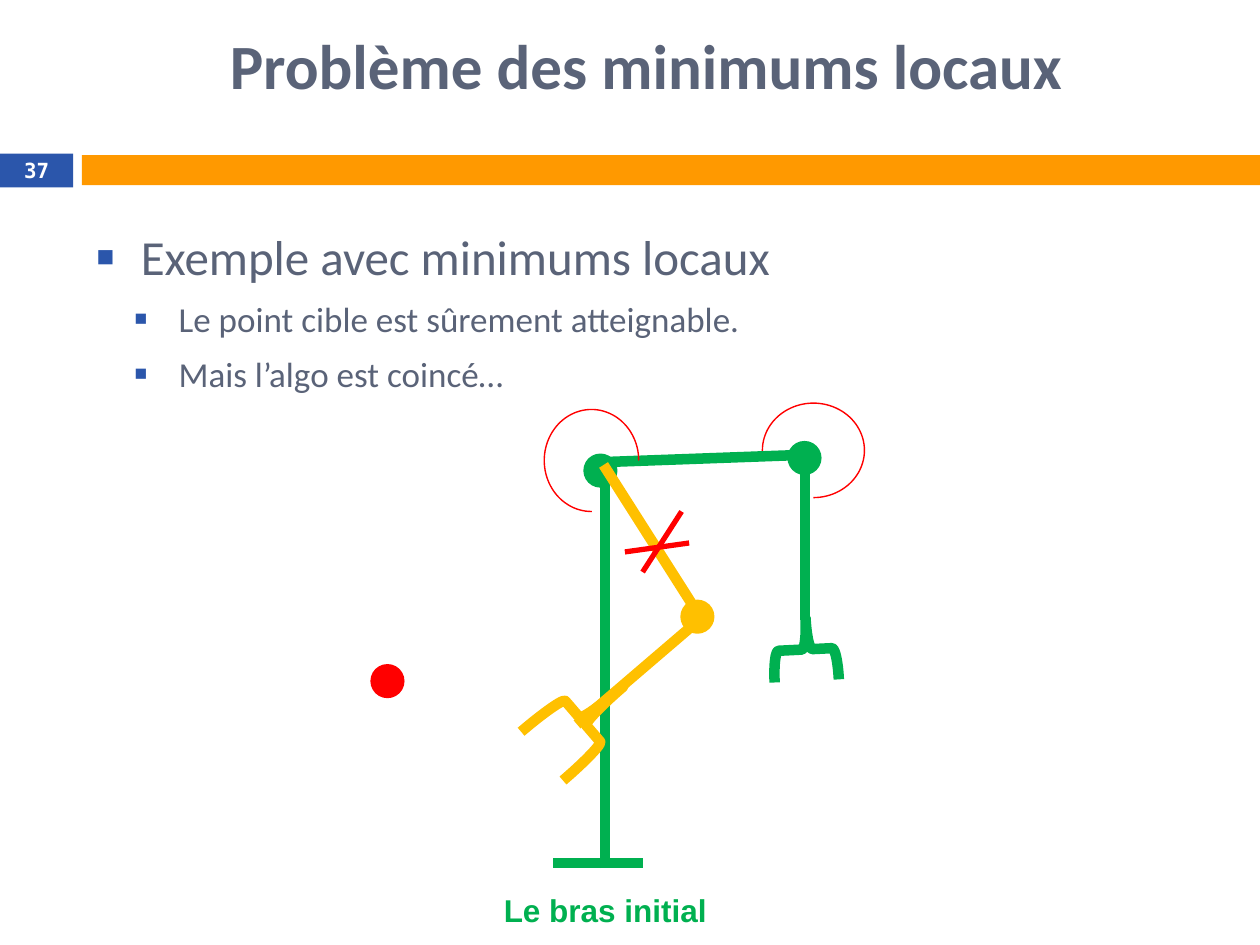
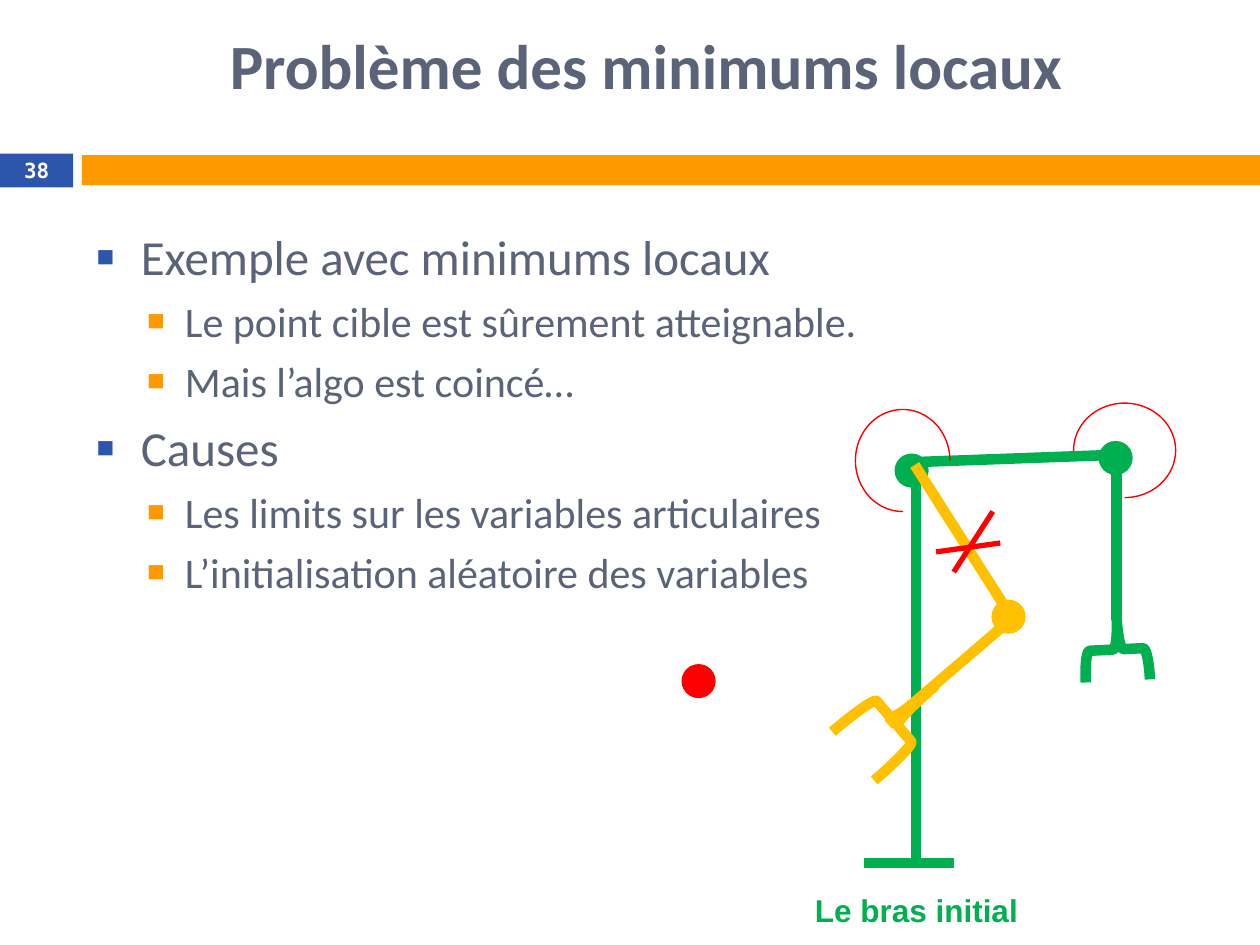
"""Build two slides on local minimums of a robot arm."""
from dataclasses import dataclass

from lxml import etree
from pptx import Presentation
from pptx.dml.color import RGBColor
from pptx.enum.shapes import MSO_CONNECTOR, MSO_SHAPE
from pptx.enum.text import MSO_ANCHOR, PP_ALIGN
from pptx.oxml.ns import qn
from pptx.util import Pt

RECT = MSO_SHAPE.RECTANGLE
DISC = MSO_SHAPE.FLOWCHART_CONNECTOR
BRACE = MSO_SHAPE.LEFT_BRACE
ARC = MSO_SHAPE.ARC
LINE = MSO_CONNECTOR.STRAIGHT
CENTER = PP_ALIGN.CENTER
MIDDLE = MSO_ANCHOR.MIDDLE


@dataclass(frozen=True)
class Theme:
    """Colours, fonts and sizes of the deck."""
    ink: str = "5A6378"
    blue: str = "2B56AB"
    orange: str = "FF9900"
    white: str = "FFFFFF"
    green: str = "00B050"
    gold: str = "FFC000"
    red: str = "FF0000"
    font: str = "Calibri"
    mono: str = "DejaVu Sans Mono"
    sans: str = "Arial"
    title: float = 36
    label: float = 18
    number: float = 11.9
    limb: float = 6
    cross: float = 3
    rim: float = 1.5
    sweep: float = 0.79


@dataclass(frozen=True)
class Level:
    """Look of one bullet level."""
    size: float
    left: float
    hang: float
    before: float
    color: str
    scale: int


THEME = Theme()
HEAD = Level(28, 25.2, 25.2, 7, THEME.blue, 60)
SUB = Level(24, 50.4, 21.6, 5.5, THEME.orange, 70)
SMALL = Level(20, 46.8, 25.2, 7, THEME.blue, 60)


def rgb(color):
    """Turn a hex string into a colour."""
    return RGBColor.from_string(color)


def add_run(para, text, size, color, font=THEME.font, bold=False):
    """Add one styled run."""
    run = para.add_run()
    run.text = text
    run.font.size = Pt(size)
    run.font.name = font
    run.font.bold = bold
    run.font.color.rgb = rgb(color)


def add_text(slide, box):
    """Add an empty text box that wraps and return its frame."""
    frame = slide.shapes.add_textbox(*map(Pt, box)).text_frame
    frame.word_wrap = True
    return frame


def add_shape(slide, kind, box, fill=None, line=None, width=THEME.rim,
              turn=0, adjust=()):
    """Add a preset shape with a plain fill and line."""
    shape = slide.shapes.add_shape(kind, *map(Pt, box))
    shape.shadow.inherit = False
    shape.rotation = turn
    for i, value in enumerate(adjust):
        shape.adjustments[i] = value
    if fill:
        shape.fill.solid()
        shape.fill.fore_color.rgb = rgb(fill)
    else:
        shape.fill.background()
    if line:
        shape.line.color.rgb = rgb(line)
        shape.line.width = Pt(width)
    else:
        shape.line.fill.background()
    return shape


def add_line(slide, ends, color, width=THEME.limb):
    """Add a straight line without shadow."""
    line = slide.shapes.add_connector(LINE, *map(Pt, ends))
    line.line.color.rgb = rgb(color)
    line.line.width = Pt(width)
    props = line._element.find(qn("p:spPr"))
    etree.SubElement(props, qn("a:effectLst"))


def add_joint(slide, left, top, color):
    """Add a round joint or target."""
    add_shape(slide, DISC, (left, top, 18, 18), color, color)


def set_bullet(para, level):
    """Give a paragraph a square bullet and hanging indent."""
    props = para._p.get_or_add_pPr()
    props.set("marL", str(Pt(level.left)))
    props.set("indent", str(-Pt(level.hang)))
    tint = etree.SubElement(props, qn("a:buClr"))
    etree.SubElement(tint, qn("a:srgbClr"), val=level.color)
    etree.SubElement(props, qn("a:buSzPct"), val=str(level.scale * 1000))
    etree.SubElement(props, qn("a:buFont"), typeface=THEME.sans)
    etree.SubElement(props, qn("a:buChar"), char="■")


def add_list(slide, items):
    """Add the bulleted body text."""
    frame = add_text(slide, (48.2, 126, 642.2, 53.3))
    for i, (level, text) in enumerate(items):
        para = frame.add_paragraph() if i else frame.paragraphs[0]
        para.space_before = Pt(level.before)
        set_bullet(para, level)
        add_run(para, text, level.size, THEME.ink)


def add_frame(slide, title, number):
    """Add the title, the band and the slide number."""
    add_shape(slide, RECT, (46.8, 88.6, 673.2, 17.3), THEME.orange)
    frame = add_text(slide, (48.2, 11.5, 642.2, 50.4))
    frame.vertical_anchor = MIDDLE
    para = frame.paragraphs[0]
    para.alignment = CENTER
    add_run(para, title, THEME.title, THEME.ink, bold=True)
    frame = add_shape(slide, RECT, (0, 87.8, 41.8, 19.4), THEME.blue).text_frame
    frame.margin_top = frame.margin_bottom = 0
    frame.vertical_anchor = MIDDLE
    para = frame.paragraphs[0]
    para.alignment = CENTER
    add_run(para, str(number), THEME.number, THEME.white, THEME.mono, True)


def draw_arm(slide, post):
    """Draw both poses of the arm around the post position."""
    green, gold, red = THEME.green, THEME.gold, THEME.red
    add_line(slide, (post, 496.1, post, 264.2), green)
    add_line(slide, (post - 4.3, 264.2, post + 114.5, 259.9), green)
    add_line(slide, (post + 114.5, 252.7, post + 114.5, 354.2), green)
    add_joint(slide, post - 133.2, 380.2, red)
    add_line(slide, (post - 29.5, 493.2, post + 21.6, 493.2), green)
    add_shape(slide, BRACE, (post + 96.5, 352.8, 36, 36.7), None, green,
              THEME.limb, 87.2, (0.083, 0.471))
    add_joint(slide, post - 11.5, 259.9, green)
    add_joint(slide, post + 105.1, 252.7, green)

    add_line(slide, (post - 0.7, 265.7, post + 54.7, 352.8), gold)
    add_shape(slide, BRACE, (post - 43.2, 393.8, 61.2, 36.7), None, gold,
              THEME.limb, 139.4)
    add_joint(slide, post + 43.9, 343.4, gold)
    add_line(slide, (post + 54, 354.2, post - 15.8, 414), gold)

    frame = add_text(slide, (post - 64.8, 505.4, 130.3, 28.8))
    frame.word_wrap = False
    add_run(frame.paragraphs[0], "Le bras initial", THEME.label, green,
            THEME.sans, True)

    add_line(slide, (post + 43.9, 292.3, post + 21.6, 326.9), red, THEME.cross)
    add_line(slide, (post + 48.2, 310.3, post + 11.5, 315.4), red, THEME.cross)
    for left, top, turn in ((-34.6, 234, 0), (92.2, 228.2, 90)):
        add_shape(slide, ARC, (post + left, top, 54, 58.3), None, red,
                  THEME.sweep, turn, (53.68, 0))


def main():
    """Build and save the deck."""
    deck = Presentation()
    deck.slide_width, deck.slide_height = Pt(720), Pt(540)
    topic = "Exemple avec minimums locaux"
    facts = ("Le point cible est sûrement atteignable.",
             "Mais l’algo est coincé…")
    causes = ("Les limits sur les variables articulaires",
              "L’initialisation aléatoire des variables")
    brief = [(HEAD, topic)] + [(SMALL, fact) for fact in facts]
    full = [(HEAD, topic)] + [(SUB, fact) for fact in facts]
    full += [(HEAD, "Causes")] + [(SUB, cause) for cause in causes]
    for number, items, post in ((37, brief, 345.6), (38, full, 523.4)):
        slide = deck.slides.add_slide(deck.slide_layouts[6])
        add_frame(slide, "Problème des minimums locaux", number)
        add_list(slide, items)
        draw_arm(slide, post)
    deck.save("out.pptx")


if __name__ == "__main__":
    main()
